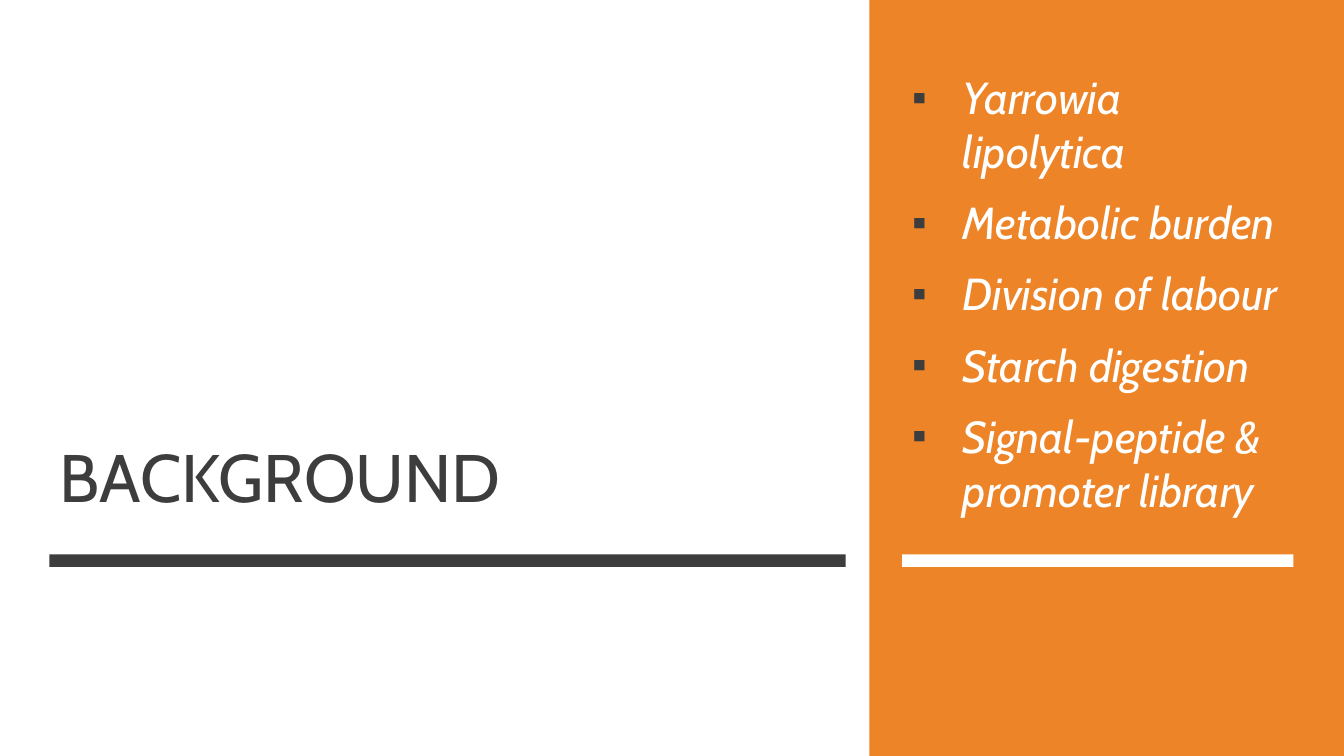
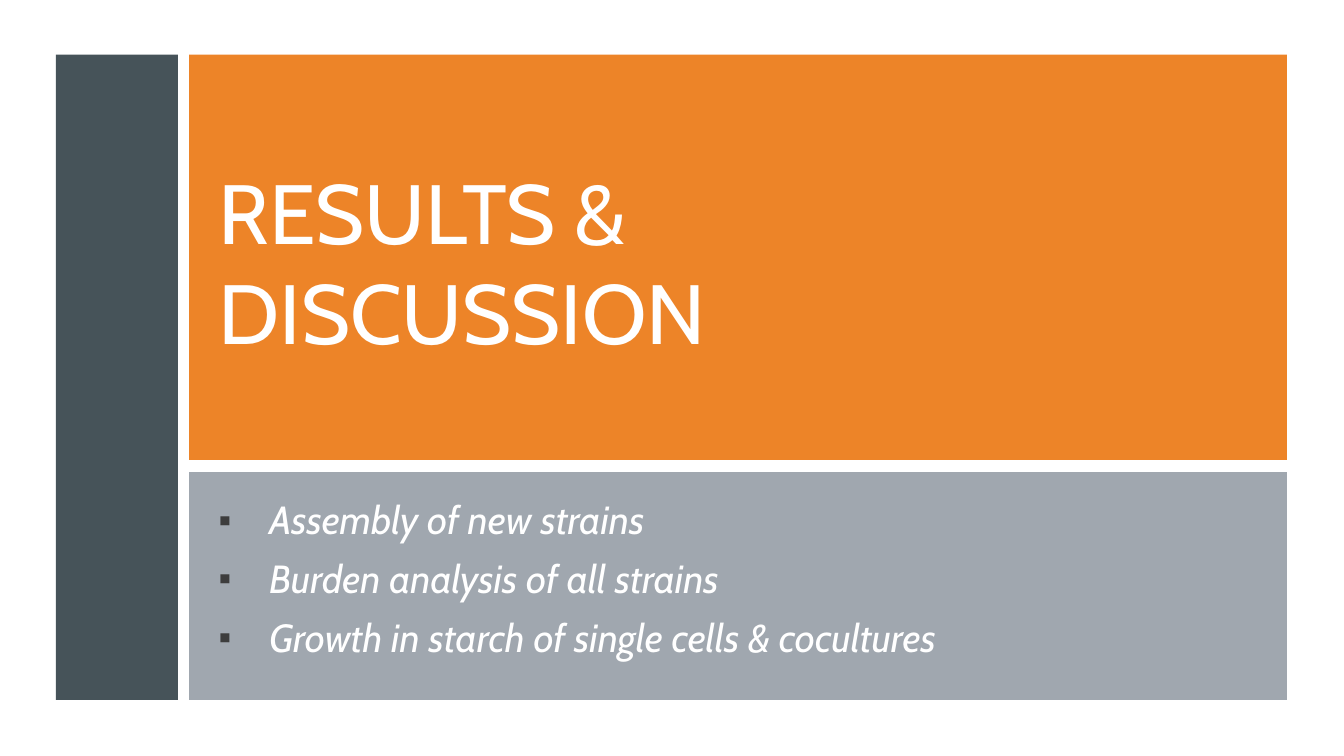
import dataclasses

import pptx
import pptx.dml.color
import pptx.enum.shapes
import pptx.enum.text
import pptx.oxml
import pptx.oxml.ns
import pptx.util

Pt = pptx.util.Pt
Anchor = pptx.enum.text.MSO_ANCHOR


@dataclasses.dataclass(frozen=True)
class Theme:
    font: str = "Cabin"
    white: str = "FFFFFF"
    dark: str = "3D3D3D"
    orange: str = "ED8428"
    slate: str = "465359"
    gray: str = "89929B"
    title: int = 48
    banner: int = 60
    list: int = 32
    small: int = 28
    after: int = 6
    indent: int = 36
    bullet: int = 92


def rgb(code):
    return pptx.dml.color.RGBColor.from_string(code)


def node(tag, **attrs):
    item = pptx.oxml.parse_xml(f"<a:{tag} {pptx.oxml.ns.nsdecls('a')}/>")
    for name, value in attrs.items():
        item.set(name, str(value))
    return item


def write(para, text, *, font, size, color, italic=False,
          before=0, after=0, spacing=1.0):
    para.alignment = pptx.enum.text.PP_ALIGN.LEFT
    para.space_before, para.space_after = Pt(before), Pt(after)
    para.line_spacing = spacing
    run = para.add_run()
    run.text = text
    run.font.name, run.font.size = font, Pt(size)
    run.font.italic, run.font.bold = italic, False
    run.font.color.rgb = rgb(color)


class Deck:
    """Hold the theme and the current slide, and draw its elements."""

    def __init__(self, theme):
        self.theme = theme
        self.file = pptx.Presentation()
        self.file.slide_width, self.file.slide_height = Pt(960), Pt(540)

    def start(self):
        self.slide = self.file.slides.add_slide(self.file.slide_layouts[0])

    def block(self, box, color, alpha=None):
        kind = pptx.enum.shapes.MSO_SHAPE.RECTANGLE
        shape = self.slide.shapes.add_shape(kind, *map(Pt, box))
        shape.shadow.inherit = False
        shape.fill.solid()
        shape.fill.fore_color.rgb = rgb(color)
        shape.line.fill.background()
        if alpha:
            tint = next(shape.element.iter(pptx.oxml.ns.qn("a:srgbClr")))
            tint.append(node("alpha", val=alpha * 1000))

    def place(self, index, box, anchor):
        holder = self.slide.placeholders[index]
        holder.left, holder.top, holder.width, holder.height = map(Pt, box)
        holder.element.getparent().append(holder.element)
        frame = holder.text_frame
        frame.word_wrap = True
        frame.auto_size = pptx.enum.text.MSO_AUTO_SIZE.NONE
        frame.vertical_anchor = anchor
        return frame

    def title(self, box, text, size, color, anchor):
        frame = self.place(0, box, anchor)
        write(frame.paragraphs[0], text, font=self.theme.font, size=size, color=color)

    def bullets(self, box, items, size, anchor, spacing=1.0):
        theme = self.theme
        frame = self.place(1, box, anchor)
        for i, text in enumerate(items):
            para = frame.add_paragraph() if i else frame.paragraphs[0]
            self.mark(para)
            write(para, text, font=theme.font, size=size, color=theme.white,
                  italic=True, before=size * 0.2 if i else 0,
                  after=theme.after, spacing=spacing)

    def mark(self, para):
        theme = self.theme
        props = para._p.get_or_add_pPr()
        props.set("marL", str(Pt(theme.indent)))
        props.set("indent", str(-Pt(theme.indent)))
        tint = node("buClr")
        tint.append(node("srgbClr", val=theme.dark))
        props.extend([tint, node("buSzPct", val=theme.bullet * 1000),
                      node("buChar", char="▪")])


def background(deck):
    theme = deck.theme
    deck.start()
    left, right, split = 35.3, 644.4, 621
    wide, narrow = 568.8, 279.4
    top, tall, rule, thick = 80.6, 291.6, 396, 9
    deck.block((split, 0, 960 - split, 540), theme.orange)
    deck.block((left, rule, wide, thick), theme.dark)
    deck.block((right, rule, narrow, thick), theme.white)
    deck.title((left, top, 564.5, tall), "BACKGROUND",
               theme.title, theme.dark, Anchor.BOTTOM)
    deck.bullets((right, top, narrow, tall), [
        "Yarrowia lipolytica",
        "Metabolic burden",
        "Division of labour",
        "Starch digestion",
        "Signal-peptide & promoter library",
    ], theme.list, Anchor.BOTTOM)


def results(deck):
    theme = deck.theme
    deck.start()
    left, top, side, tall = 40, 39, 87.2, 461
    main, wide = 135, 784.2
    upper, gap = 289.6, 8.6
    lower = top + upper + gap
    inner, span = main + 14, 596.2
    deck.block((left, top, side, tall), theme.slate)
    deck.block((main, top, wide, upper), theme.orange)
    deck.block((main, lower, wide, tall - upper - gap), theme.gray, alpha=80)
    deck.title((inner, 55.4, span, 262), "RESULTS & DISCUSSION",
               theme.banner, theme.white, Anchor.MIDDLE)
    deck.bullets((inner, 354.2, span, 128.9), [
        "Assembly of new strains",
        "Burden analysis of all strains",
        "Growth in starch of single cells & cocultures",
    ], theme.small, Anchor.TOP, spacing=0.9)


def main():
    deck = Deck(Theme())
    background(deck)
    results(deck)
    deck.file.save("out.pptx")


if __name__ == "__main__":
    main()
